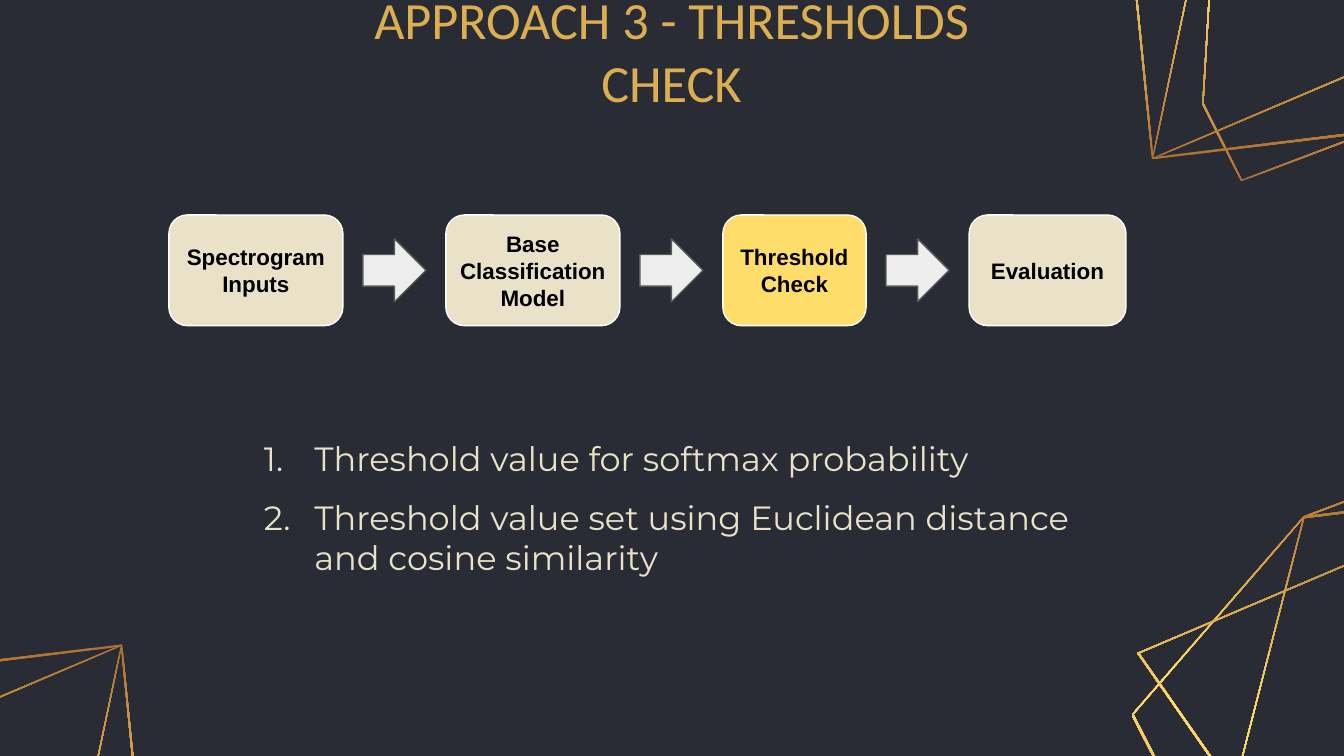
from lxml.etree import SubElement
from pptx import Presentation
from pptx.dml.color import RGBColor
from pptx.enum.shapes import MSO_SHAPE
from pptx.enum.text import MSO_ANCHOR, PP_ALIGN
from pptx.oxml.ns import qn
from pptx.util import Pt

GOLD, CREAM, YELLOW = "DCAE52", "E9E2C9", "FFDD6B"
GRADIENT = [(0, "AF7132"), (50, YELLOW), (100, GOLD)]
KITE = [(649.4, 467.3), (606.2, 383), (698.4, 276.6), (767.2, 250.6), (788, 292), (779.8, 429.8)]
PENTAGON = [(712.1, 497.5), (649.4, 467.3), (698.4, 276.6), (815, 262.4), (779.8, 429.8)]
QUAD = [(712.1, 497.5), (609.1, 349.9), (815, 262.4), (824.4, 356.4)]
CORNERS = [
    ([KITE, PENTAGON, QUAD], 1, 0, 0),
    ([KITE, PENTAGON, QUAD], -1, 1432.1, 347.8),
    ([PENTAGON, QUAD], 1, -749.5, 82.8),
]
STEPS = [
    ("Spectrogram Inputs", 93.2, CREAM),
    ("Base Classification Model", 93.2, CREAM),
    ("Threshold Check", 76.7, YELLOW),
    ("Evaluation", 84, CREAM),
]
FLOW_LEFT, FLOW_TOP, STEP_HEIGHT, STEP_GAP, ARROW_SIZE = 90.5, 115.2, 59.3, 55.2, 33.8
POINTS = [
    "Threshold value for softmax probability",
    "Threshold value set using Euclidean distance and cosine similarity",
]


def color(value):
    return RGBColor.from_string(value)


def add_run(para, text, size, font, value, bold=False):
    span = para.add_run()
    span.text = text
    span.font.size = Pt(size)
    span.font.name = font
    span.font.bold = bold
    span.font.color.rgb = color(value)


def set_margins(frame, margin):
    frame.margin_left = frame.margin_right = Pt(margin)
    frame.margin_top = frame.margin_bottom = Pt(margin)
    frame.word_wrap = True


def add_text_frame(page, left, top, width, height):
    box = page.shapes.add_textbox(Pt(left), Pt(top), Pt(width), Pt(height))
    set_margins(box.text_frame, 7.2)
    return box.text_frame


def add_box(page, kind, left, top, width, height, fill, line):
    box = page.shapes.add_shape(kind, Pt(left), Pt(top), Pt(width), Pt(height))
    box.shadow.inherit = False
    box.fill.solid()
    box.fill.fore_color.rgb = color(fill)
    box.line.color.rgb = color(line)
    box.line.width = Pt(0.75)
    return box


def set_gradient(shape, angle):
    shape.fill.gradient()
    gradient = shape.element.spPr.find(qn("a:gradFill"))
    for child in list(gradient):
        gradient.remove(child)
    stops = SubElement(gradient, qn("a:gsLst"))
    for position, value in GRADIENT:
        stop = SubElement(stops, qn("a:gs"), pos=str(position * 1000))
        SubElement(stop, qn("a:srgbClr"), val=value)
    SubElement(gradient, qn("a:lin"), ang=str(angle * 60000), scaled="0")


def add_thin_ring(page, corners, angle):
    center_x = sum(x for x, y in corners) / len(corners)
    center_y = sum(y for x, y in corners) / len(corners)
    outer = [(Pt(x), Pt(y)) for x, y in corners]
    inner = [(Pt(center_x + (x - center_x) * 0.99), Pt(center_y + (y - center_y) * 0.99))
             for x, y in corners]
    builder = page.shapes.build_freeform(*outer[0])
    builder.add_line_segments(outer[1:], close=True)
    builder.move_to(*inner[0])
    builder.add_line_segments(inner[:0:-1], close=True)
    ring = builder.convert_to_shape()
    ring.shadow.inherit = False
    set_gradient(ring, angle)
    ring.line.fill.background()


def add_corners(page):
    for outlines, sign, shift_x, shift_y in CORNERS:
        for outline in outlines:
            moved = [(sign * x + shift_x, sign * y + shift_y) for x, y in outline]
            add_thin_ring(page, moved, 90 if sign > 0 else 270)


def add_title(page, text):
    frame = add_text_frame(page, 157, 10.1, 405.4, 33.8)
    frame.vertical_anchor = MSO_ANCHOR.MIDDLE
    para = frame.paragraphs[0]
    para.alignment = PP_ALIGN.CENTER
    add_run(para, text, 28, "Calibri", GOLD)


def add_flow(page):
    left = FLOW_LEFT
    for number, (label, width, fill) in enumerate(STEPS):
        if number:
            add_box(page, MSO_SHAPE.RIGHT_ARROW, left - (STEP_GAP + ARROW_SIZE) / 2,
                    FLOW_TOP + (STEP_HEIGHT - ARROW_SIZE) / 2,
                    ARROW_SIZE, ARROW_SIZE, "EEEEEE", "595959")
        step = add_box(page, MSO_SHAPE.ROUNDED_RECTANGLE, left, FLOW_TOP,
                       width, STEP_HEIGHT, fill, "FFFFFF")
        set_margins(step.text_frame, 0)
        step.text_frame.vertical_anchor = MSO_ANCHOR.MIDDLE
        para = step.text_frame.paragraphs[0]
        para.alignment = PP_ALIGN.CENTER
        add_run(para, label, 12, "Arial", "000000", True)
        left += width + STEP_GAP


def set_number(para):
    properties = para._p.get_or_add_pPr()
    properties.set("marL", str(Pt(36)))
    properties.set("indent", str(Pt(-27)))
    bullet = SubElement(properties, qn("a:buClr"))
    SubElement(bullet, qn("a:srgbClr"), val=CREAM)
    SubElement(properties, qn("a:buFont"), typeface="Montserrat")
    SubElement(properties, qn("a:buAutoNum"), type="arabicPeriod")


def add_numbered_list(page, items):
    frame = add_text_frame(page, 125.3, 205.9, 469.4, 120.2)
    for number, item in enumerate(items):
        para = frame.add_paragraph() if number else frame.paragraphs[0]
        if number:
            para.space_before = Pt(10)
        else:
            para.line_spacing = 2.0
        set_number(para)
        add_run(para, item, 18, "Montserrat", CREAM)


def main():
    deck = Presentation()
    deck.slide_width, deck.slide_height = Pt(720), Pt(405)
    page = deck.slides.add_slide(deck.slide_layouts[6])
    page.background.fill.solid()
    page.background.fill.fore_color.rgb = color("292C35")
    add_corners(page)
    add_title(page, "APPROACH 3 - THRESHOLDS CHECK")
    add_numbered_list(page, POINTS)
    add_flow(page)
    deck.save("out.pptx")


main()
